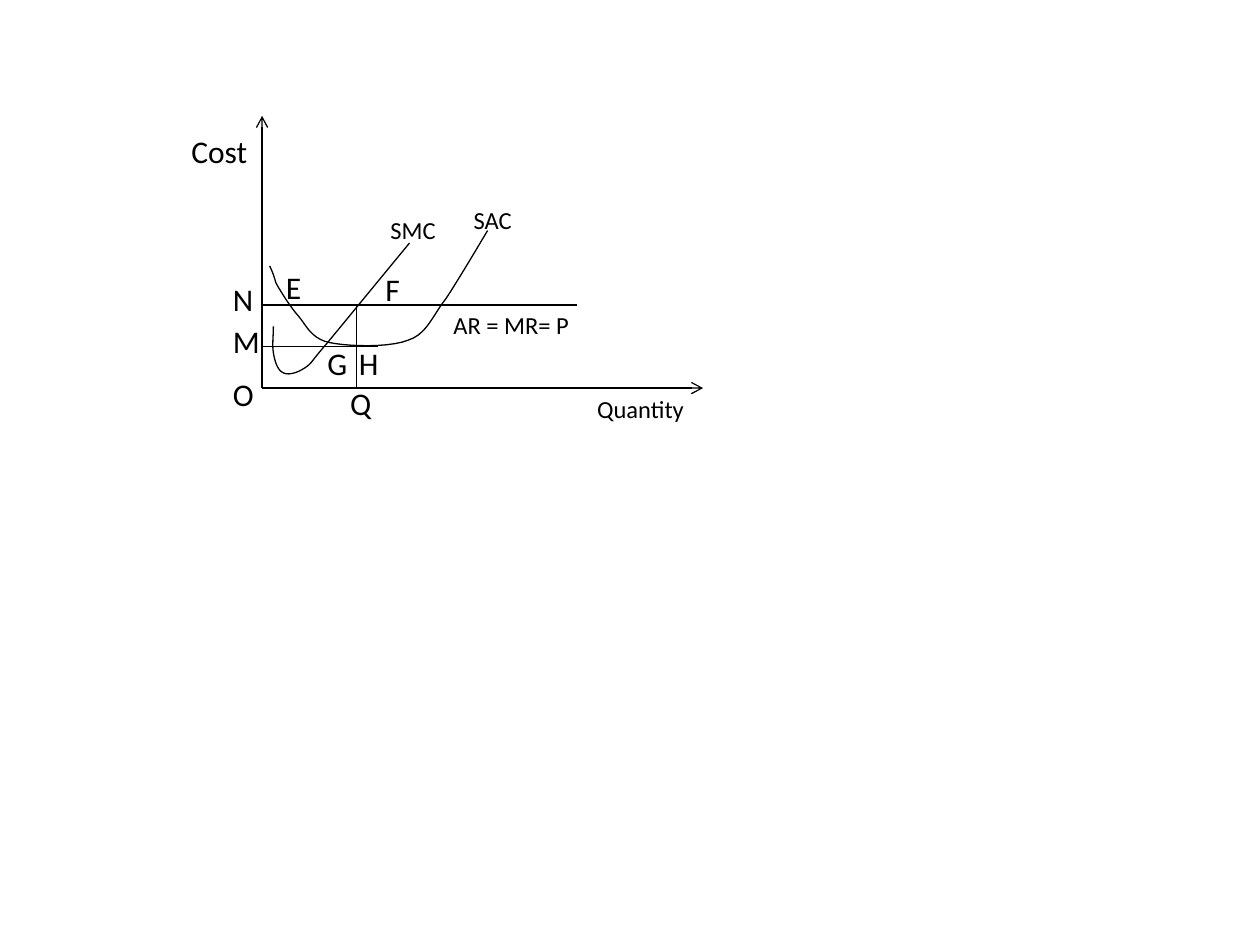
from lxml import etree
from pptx import Presentation
from pptx.dml.color import RGBColor
from pptx.enum import shapes, text
from pptx.oxml.ns import qn
from pptx.util import Inches, Pt

THEME = {
    "font": "Calibri",
    "ink": RGBColor(0, 0, 0),
    "line": Pt(0.75),
    "small": (Pt(14), 0.34),
    "large": (Pt(18), 0.4),
}

AXIS_X, AXIS_Y = 2.08, 3.08
PRICE, COST, OUTPUT = 2.42, 2.75, 2.83

LINES = [
    ((AXIS_X, AXIS_Y), (AXIS_X, 0.92), True),
    ((AXIS_X, AXIS_Y), (5.58, AXIS_Y), True),
    ((AXIS_X, PRICE), (4.58, PRICE), False),
    ((AXIS_X, COST), (3, COST), False),
    ((OUTPUT, PRICE), (OUTPUT, AXIS_Y), False),
]

SAC_CURVE = [
    (2.14, 2.11),
    (2.16, 2.15), (2.17, 2.18), (2.18, 2.21),
    (2.19, 2.24), (2.18, 2.23), (2.21, 2.28),
    (2.24, 2.33), (2.3, 2.43), (2.37, 2.51),
    (2.43, 2.58), (2.47, 2.69), (2.62, 2.72),
    (2.77, 2.75), (3.09, 2.76), (3.24, 2.7),
    (3.39, 2.65), (3.43, 2.51), (3.54, 2.37),
    (3.64, 2.22), (3.87, 1.83), (3.87, 1.83),
]
SMC_CURVE = [
    (2.17, 2.59),
    (2.17, 2.67), (2.16, 2.74), (2.17, 2.8),
    (2.18, 2.86), (2.2, 2.94), (2.25, 2.96),
    (2.29, 2.98), (2.36, 2.96), (2.42, 2.92),
    (2.48, 2.88), (2.46, 2.88), (2.6, 2.72),
    (2.74, 2.55), (3.25, 1.93), (3.25, 1.93),
]

LABELS = [
    ("SMC", 3, 1.66, 0.56, "small"),
    ("SAC", 3.66, 1.58, 0.51, "small"),
    ("E", 2.17, 2.08, 0.32, "large"),
    ("F", 2.96, 2.09, 0.32, "large"),
    ("AR = MR= P", 3.5, 2.41, 1.13, "small"),
    ("Quantity", 4.64, 3.08, 0.95, "small"),
    ("G", 2.5, 2.68, 0.36, "large"),
    ("H", 2.75, 2.68, 0.36, "large"),
    ("Q", 2.68, 3, 0.37, "large"),
    ("O", 1.75, 2.93, 0.37, "large"),
    ("M", 1.75, 2.51, 0.42, "large"),
    ("N", 1.75, 2.17, 0.36, "large"),
    ("Cost", 1.42, 1, 0.71, "large"),
]


def set_line(sp):
    sp.line.color.rgb = THEME["ink"]
    sp.line.width = THEME["line"]


def add_line(s, start, end, arrow):
    sp = s.shapes.add_connector(
        shapes.MSO_CONNECTOR.STRAIGHT, *map(Inches, start + end))
    set_line(sp)
    if arrow:
        ln = sp.line._get_or_add_ln()
        etree.SubElement(ln, qn("a:tailEnd"), type="arrow")
    etree.SubElement(sp._element.spPr, qn("a:effectLst"))


def bezier(a, b, c, d, t):
    v = 1 - t
    return tuple(
        Inches(v**3 * p + 3 * v * v * t * q + 3 * v * t * t * r + t**3 * e)
        for p, q, r, e in zip(a, b, c, d))


def add_curve(s, knots, steps=10):
    points = [
        bezier(*knots[i:i + 4], n / steps)
        for i in range(0, len(knots) - 1, 3)
        for n in range(1, steps + 1)
    ]
    builder = s.shapes.build_freeform(*map(Inches, knots[0]), scale=1.0)
    builder.add_line_segments(points, close=False)
    sp = builder.convert_to_shape()
    sp.shadow.inherit = False
    sp.fill.background()
    set_line(sp)


def add_label(s, words, left, top, width, style):
    size, height = THEME[style]
    sp = s.shapes.add_textbox(*map(Inches, (left, top, width, height)))
    tf = sp.text_frame
    tf.word_wrap = False
    tf.auto_size = text.MSO_AUTO_SIZE.SHAPE_TO_FIT_TEXT
    r = tf.paragraphs[0].add_run()
    r.text = words
    r.font.name = THEME["font"]
    r.font.size = size
    r.font.color.rgb = THEME["ink"]


def main():
    prs = Presentation()
    prs.slide_width, prs.slide_height = Inches(10), Inches(7.5)
    s = prs.slides.add_slide(prs.slide_layouts[6])
    for line in LINES:
        add_line(s, *line)
    for knots in (SAC_CURVE, SMC_CURVE):
        add_curve(s, knots)
    for label in LABELS:
        add_label(s, *label)
    prs.save("out.pptx")


if __name__ == "__main__":
    main()
